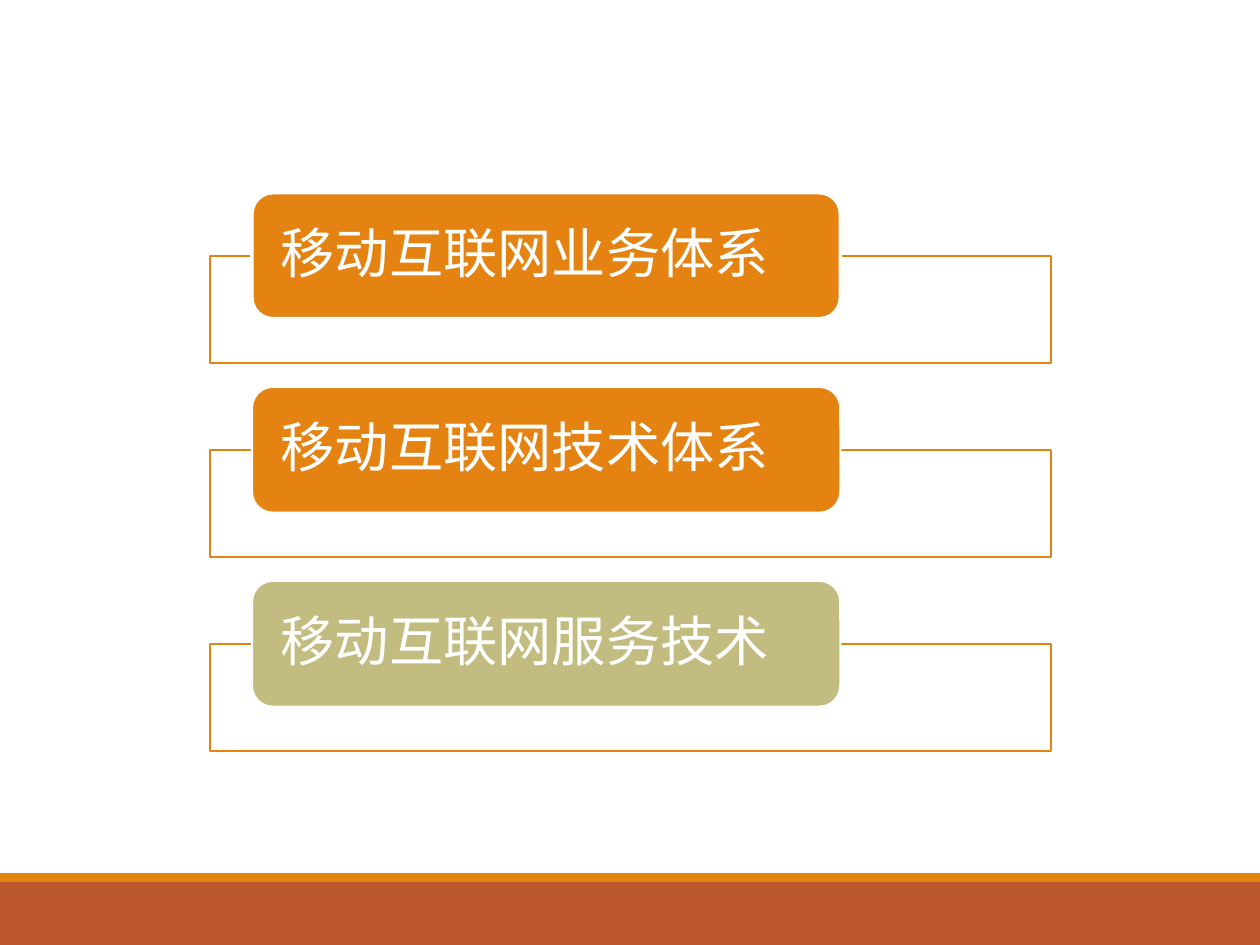
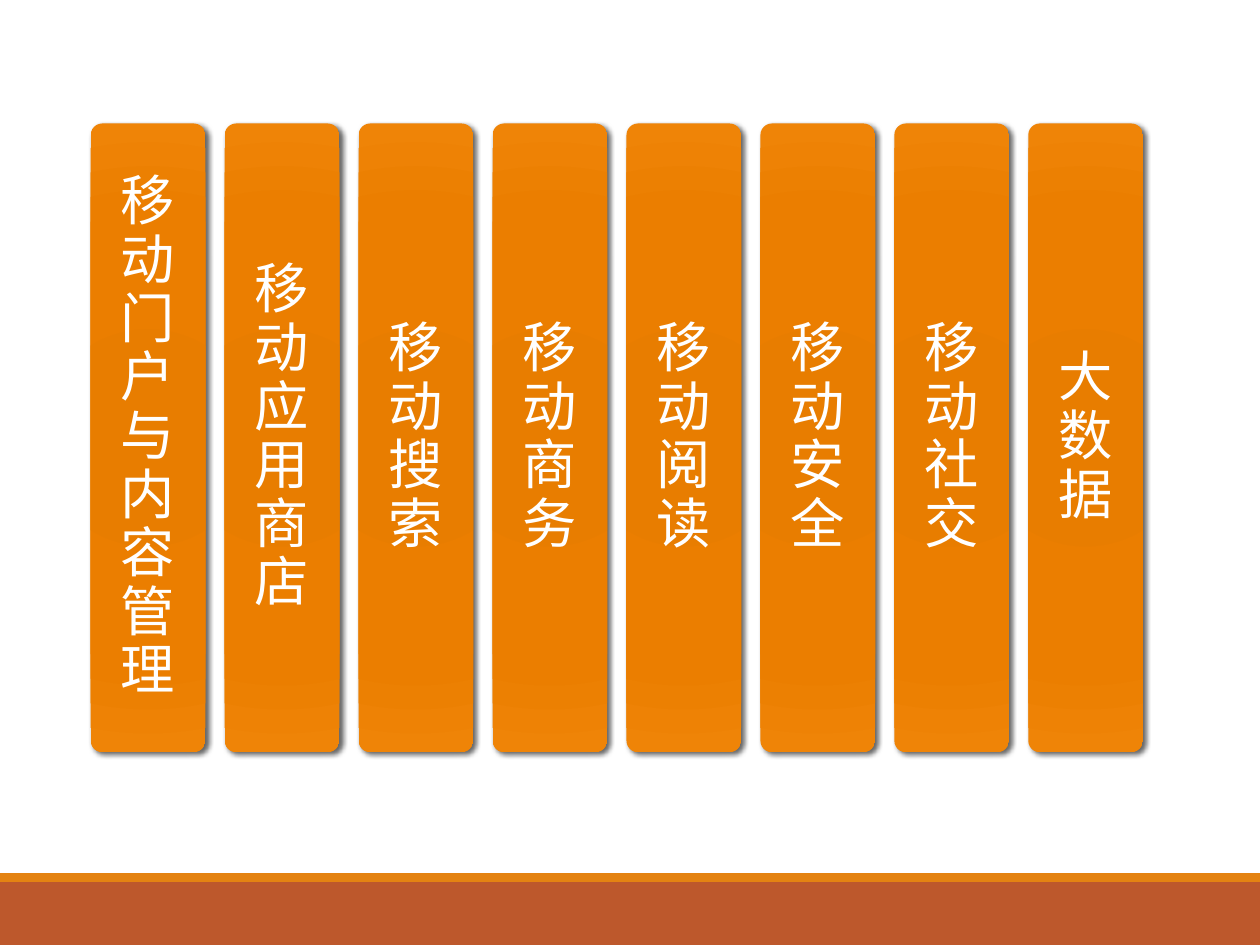
from lxml.etree import SubElement
from pptx import Presentation
from pptx.dml.color import RGBColor
from pptx.enum.shapes import MSO_SHAPE
from pptx.enum.text import MSO_ANCHOR, PP_ALIGN
from pptx.oxml import parse_xml
from pptx.oxml.ns import nsdecls, qn
from pptx.util import Inches, Pt

ORANGE, RUST, KHAKI, WHITE = "E48312", "BD582C", "C2BC80", "FFFFFF"
LABEL_FONT = {"name": "Calibri", "size": Pt(31)}
GRADIENT = [(0, "E57B00"), (34, "E87D00"), (70, "EB7E00"), (100, "EF8407")]


def add_box(s, kind, at, fill=None, line=None, width=1.25):
    sp = s.shapes.add_shape(kind, *[Inches(v) for v in at])
    sp.shadow.inherit = False
    if fill:
        sp.fill.solid()
        sp.fill.fore_color.rgb = RGBColor.from_string(fill)
    if line:
        sp.line.color.rgb = RGBColor.from_string(line)
        sp.line.width = Pt(width)
    else:
        sp.line.fill.background()
    return sp


def set_label(sp, text, align, inset_x, inset_y):
    tf = sp.text_frame
    frame = {"word_wrap": True, "vertical_anchor": MSO_ANCHOR.MIDDLE,
             "margin_left": Inches(inset_x), "margin_right": Inches(inset_x),
             "margin_top": Inches(inset_y), "margin_bottom": Inches(inset_y)}
    for name, value in frame.items():
        setattr(tf, name, value)
    p = tf.paragraphs[0]
    p.alignment = align
    p.line_spacing = 0.9
    r = p.add_run()
    r.text = text
    for name, value in LABEL_FONT.items():
        setattr(r.font, name, value)
    r.font.color.rgb = RGBColor.from_string(WHITE)


prs = Presentation()
prs.slide_width, prs.slide_height = Inches(10), Inches(7.5)

# Slides with the shared footer bands
slides = [prs.slides.add_slide(prs.slide_layouts[6]) for _ in range(2)]
for s in slides:
    add_box(s, MSO_SHAPE.RECTANGLE, (0, 7, 10, 0.5), RUST)
    add_box(s, MSO_SHAPE.RECTANGLE, (0, 6.93, 10, 0.07), ORANGE)

# Slide 1: three topics, each tab over an outlined frame
topics = [("移动互联网业务体系", ORANGE, 2),
          ("移动互联网技术体系", ORANGE, 1.25),
          ("移动互联网服务技术", KHAKI, 1.25)]
for i, (topic, color, border) in enumerate(topics):
    top = 1.53 + 1.54 * i
    add_box(slides[0], MSO_SHAPE.RECTANGLE, (1.67, top + 0.5, 6.67, 0.85), WHITE, ORANGE)
    tab = add_box(slides[0], MSO_SHAPE.ROUNDED_RECTANGLE, (2, top, 4.67, 1),
                  color, WHITE, border)
    set_label(tab, topic, PP_ALIGN.LEFT, 0.18, 0)

# Slide 2: eight service columns, one character to a line
services = ["移动门户与内容管理", "移动应用商店", "移动搜索", "移动商务",
            "移动阅读", "移动安全", "移动社交", "大数据"]
stops = "".join(f'<a:gs pos="{pos * 1000}"><a:srgbClr val="{color}"/></a:gs>'
                for pos, color in GRADIENT)
for i, service in enumerate(services):
    column = add_box(slides[1], MSO_SHAPE.ROUNDED_RECTANGLE,
                     (0.72 + 1.063 * i, 0.98, 0.91, 4.99))
    column.adjustments[0] = 0.1
    set_label(column, service, PP_ALIGN.CENTER, 0.13, 0.13)

    # Radial gradient fill
    spPr = column.element.spPr
    spPr.find(qn("a:prstGeom")).addnext(parse_xml(
        f'<a:gradFill rotWithShape="1" {nsdecls("a")}><a:gsLst>{stops}</a:gsLst>'
        '<a:path path="circle"><a:fillToRect l="100000" t="100000" r="100000" b="100000"/>'
        '</a:path></a:gradFill>'))

    # Soft shadow to the lower right
    shadow = SubElement(spPr.find(qn("a:effectLst")), qn("a:outerShdw"),
                        blurRad=str(Pt(3)), dist=str(Pt(2)), dir=str(45 * 60000),
                        algn="ctr", rotWithShape="0")
    tone = SubElement(shadow, qn("a:srgbClr"), val="000000")
    SubElement(tone, qn("a:alpha"), val="60000")

prs.save("out.pptx")
